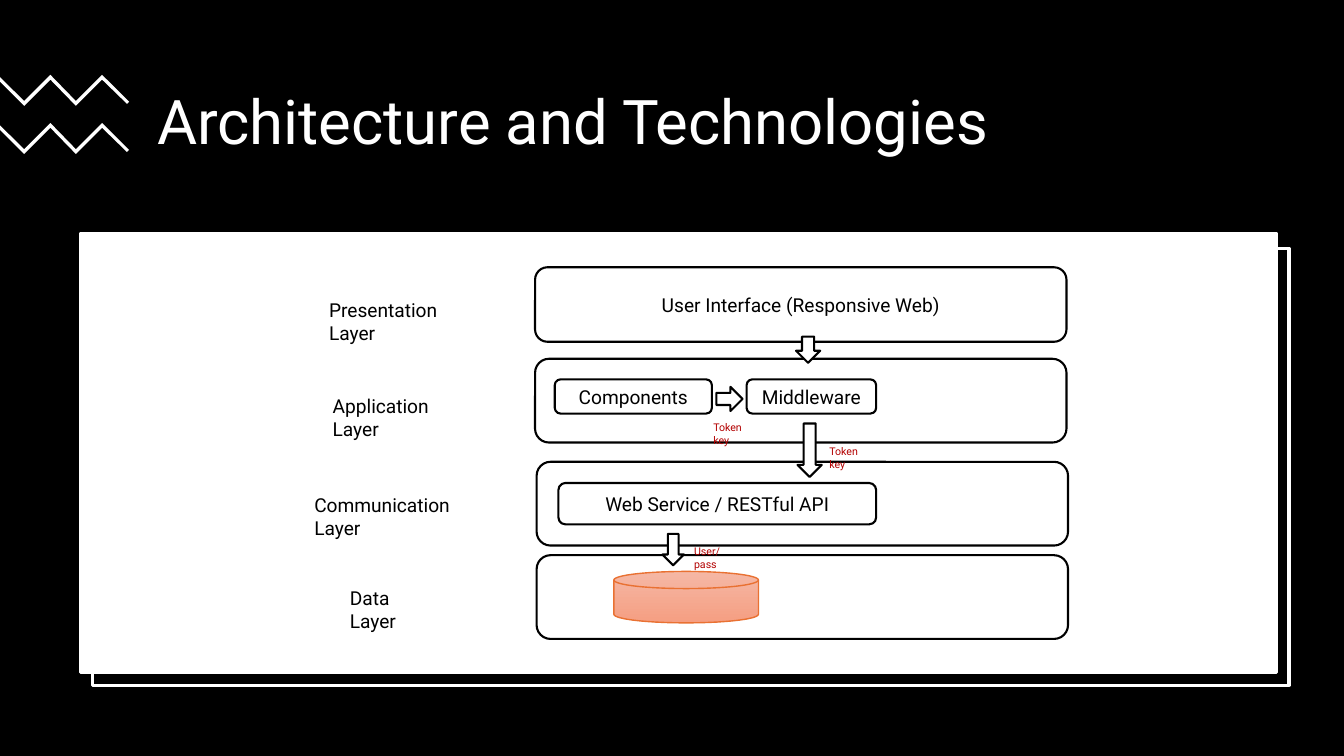
from dataclasses import dataclass

from pptx import Presentation
from pptx.dml.color import RGBColor
from pptx.enum.shapes import MSO_SHAPE
from pptx.enum.text import MSO_ANCHOR, MSO_AUTO_SIZE, PP_ALIGN
from pptx.util import Pt

RECT = MSO_SHAPE.RECTANGLE
ROUND = MSO_SHAPE.ROUNDED_RECTANGLE
DOWN = MSO_SHAPE.DOWN_ARROW
DISK = MSO_SHAPE.FLOWCHART_MAGNETIC_DISK
MIDDLE, TOP = MSO_ANCHOR.MIDDLE, MSO_ANCHOR.TOP
LEFT, CENTER = PP_ALIGN.LEFT, PP_ALIGN.CENTER
FIXED = MSO_AUTO_SIZE.NONE


@dataclass(frozen=True)
class Theme:
    font: str = "Roboto"
    black: str = "000000"
    white: str = "FFFFFF"
    red: str = "B30000"
    orange: str = "E97132"
    light: str = "F5B8A5"
    deep: str = "F59E82"
    head: float = 44
    body: float = 13.7
    note: float = 7.6


def rgb(code):
    return RGBColor.from_string(code)


class Deck:
    def __init__(self, slide, theme):
        self.slide, self.theme = slide, theme
        back = slide.background.fill
        back.solid()
        back.fore_color.rgb = rgb(theme.black)

    def letter(self, shape, text, size, color, align, anchor, after=6):
        frame = shape.text_frame
        frame.text = text
        frame.word_wrap = True
        frame.auto_size = FIXED
        frame.vertical_anchor = anchor
        para = frame.paragraphs[0]
        para.alignment = align
        para.space_after = Pt(after)
        font = para.runs[0].font
        font.name, font.size = self.theme.font, Pt(size)
        font.color.rgb = rgb(color)
        return para

    def title(self, text, x, y, w, h):
        shape = self.slide.shapes.title
        shape.left, shape.top, shape.width, shape.height = map(Pt, (x, y, w, h))
        para = self.letter(shape, text, self.theme.head, self.theme.white,
                           LEFT, MIDDLE, 0)
        para.line_spacing = 0.9

    def shape(self, kind, x, y, w, h, fill=None, line=None, width=1.5, turn=0):
        shape = self.slide.shapes.add_shape(kind, *map(Pt, (x, y, w, h)))
        shape.shadow.inherit = False
        shape.rotation = turn
        shape.fill.solid()
        shape.fill.fore_color.rgb = rgb(fill or self.theme.white)
        shape.line.color.rgb = rgb(line or self.theme.black)
        shape.line.width = Pt(width)
        return shape

    def box(self, text, x, y, w, h):
        shape = self.shape(ROUND, x, y, w, h)
        if text:
            self.letter(shape, text, self.theme.body, self.theme.black,
                        CENTER, MIDDLE)

    def label(self, text, x, y, w, h, size, color):
        shape = self.slide.shapes.add_textbox(*map(Pt, (x, y, w, h)))
        self.letter(shape, text, size, color, LEFT, TOP)

    def store(self, x, y, w, h):
        disk = self.shape(DISK, x, y, w, h, line=self.theme.orange, width=1)
        disk.fill.gradient()
        disk.fill.gradient_angle = 270
        stops = disk.fill.gradient_stops
        for stop, color in zip(stops, (self.theme.light, self.theme.deep)):
            stop.color.rgb = rgb(color)

    def zigzag(self, points):
        build = self.slide.shapes.build_freeform(
            Pt(points[0][0]), Pt(points[0][1]))
        build.add_line_segments([(Pt(x), Pt(y)) for x, y in points[1:]])
        shape = build.convert_to_shape()
        shape.shadow.inherit = False
        shape.fill.solid()
        shape.fill.fore_color.rgb = rgb(self.theme.white)
        shape.line.fill.background()


def main():
    show = Presentation()
    show.slide_width, show.slide_height = Pt(960), Pt(540)
    theme = Theme()
    deck = Deck(show.slides.add_slide(show.slide_layouts[5]), theme)

    # Title and zigzags
    deck.title("Architecture and Technologies", 105, 44.6, 767.5, 88.6)
    bends = [(17.3, 72.2), (36, 53.5), (54.2, 72.2), (72.9, 53.5)]
    upper = [(0, 55.2), *bends, (92.2, 72.7)]
    lower = [(90.7, 74.2), *[(x, y + 3.4) for x, y in bends[::-1]], (0, 58.4)]
    for drop in (0, 34.4):
        deck.zigzag([(x, y + drop) for x, y in upper + lower])

    # Panel with its offset frame
    deck.shape(RECT, 66, 177.5, 854.8, 312, theme.black, theme.white, 2.25)
    deck.shape(RECT, 57.3, 167.2, 854.8, 313.2, theme.white, theme.white, 2.25)

    # Layers: name with its left, top, width; band text, left, top, height
    for name, x, y, w, text, left, top, high in [
        ("Presentation Layer", 228, 209.5, 105,
         "User Interface (Responsive Web)", 382.2, 190.9, 53.2),
        ("Application Layer", 230.5, 278, 98, "", 382.2, 256.3, 59.8),
        ("Communication Layer", 217.4, 348.5, 118, "", 383.3, 329.9, 59.8),
        ("Data Layer", 242.8, 415.2, 62, "", 383.3, 396.6, 59.8),
    ]:
        deck.label(name, x, y, w, 40, theme.body, theme.black)
        deck.box(text, left, top, 379.6, high)

    # Parts inside the layers
    for part in [
        ("Components", 396.3, 271, 112.2, 24.4),
        ("Middleware", 533.3, 271, 92.5, 24.4),
        ("Web Service / RESTful API", 398.9, 345, 226.9, 29.5),
    ]:
        deck.box(*part)
    deck.store(438.5, 408.2, 103.3, 36.7)

    # Arrows
    for x, y, w, h, turn in [
        (568.6, 240.5, 17.3, 18.7, 0),
        (569.7, 302.5, 17.3, 38.2, 0),
        (473.2, 381.4, 15.4, 22.4, 0),
        (512.4, 275.6, 17.3, 18.7, 270),
    ]:
        deck.shape(DOWN, x, y, w, h, turn=turn)

    # Credentials passed along
    for text, x, y in [
        ("Token key", 502.4, 297.2),
        ("Token key", 585.3, 314.5),
        ("User/pass", 488.7, 386),
    ]:
        deck.label(text, x, y, 40, 25, theme.note, theme.red)

    show.save("out.pptx")


if __name__ == "__main__":
    main()
